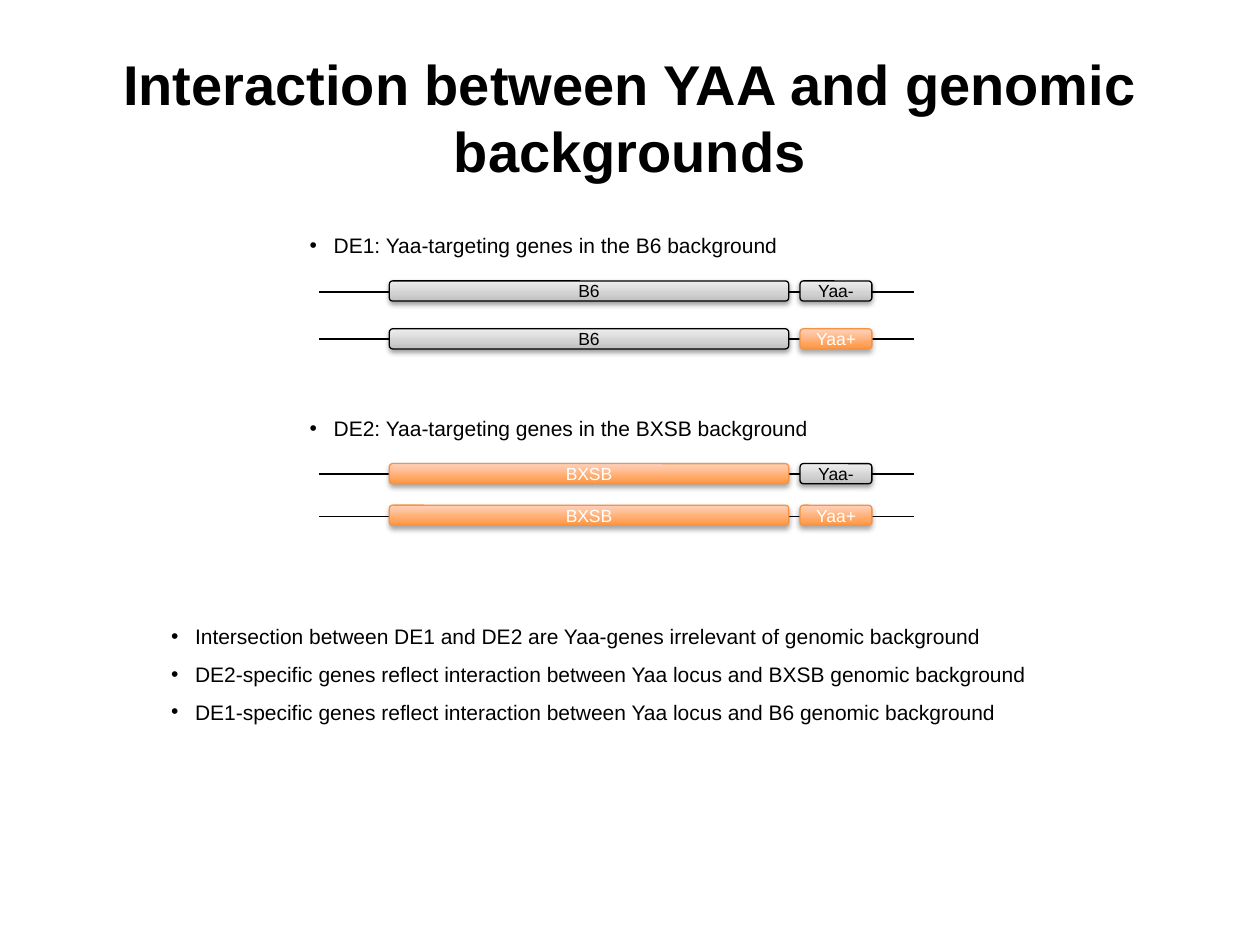
from dataclasses import dataclass
from lxml import etree
from pptx import Presentation
from pptx.dml.color import RGBColor
from pptx.enum import shapes, text
from pptx.oxml.ns import qn
from pptx.util import Inches, Pt

BLACK = RGBColor(0x00, 0x00, 0x00)
WHITE = RGBColor(0xFF, 0xFF, 0xFF)
ORANGE_LINE = RGBColor(0xF6, 0x92, 0x40)
GRAYS = (
    (0, RGBColor(0xBD, 0xBD, 0xBD)),
    (35, RGBColor(0xD1, 0xD1, 0xD1)),
    (100, RGBColor(0xEE, 0xEE, 0xEE)),
)
ORANGES = (
    (0, RGBColor(0xFF, 0x95, 0x3E)),
    (100, RGBColor(0xFF, 0xD2, 0xBD)),
)


@dataclass(frozen=True)
class Style:
    stops: tuple
    line: RGBColor
    font: RGBColor
    shadow_alpha: int
    shadow_dist: float


@dataclass(frozen=True)
class Strain:
    line_y: float
    box_y: float
    background: str
    locus: str


@dataclass(frozen=True)
class BulletBox:
    left: float
    top: float
    width: float
    height: float
    lines: tuple


GRAY = Style(GRAYS, BLACK, BLACK, 38, 1.6)
ORANGE = Style(ORANGES, ORANGE_LINE, WHITE, 35, 1.8)
STYLES = {"B6": GRAY, "Yaa-": GRAY, "BXSB": ORANGE, "Yaa+": ORANGE}
STRAINS = (
    Strain(2.32, 2.23, "B6", "Yaa-"),
    Strain(2.69, 2.61, "B6", "Yaa+"),
    Strain(3.76, 3.68, "BXSB", "Yaa-"),
    Strain(4.1, 4.01, "BXSB", "Yaa+"),
)
BULLET_BOXES = (
    BulletBox(2.36, 1.7, 6.69, 0.39, ("DE1: Yaa-targeting genes in the B6 background",)),
    BulletBox(2.36, 3.15, 6.69, 0.39, ("DE2: Yaa-targeting genes in the BXSB background",)),
    BulletBox(1.26, 4.8, 7.8, 1.3, (
        "Intersection between DE1 and DE2 are Yaa-genes irrelevant of genomic background",
        "DE2-specific genes reflect interaction between Yaa locus and BXSB genomic background",
        "DE1-specific genes reflect interaction between Yaa locus and B6 genomic background",
    )),
)


def set_attrs(obj, values: dict) -> None:
    for name, value in values.items():
        setattr(obj, name, value)


def add_run(p, words: str, size: float, color: RGBColor, bold: bool = False) -> None:
    r = p.add_run()
    r.text = words
    set_attrs(r.font, {"name": "Arial", "size": Pt(size), "bold": bold})
    r.font.color.rgb = color


def add_node(parent, tag: str, **attrs):
    return etree.SubElement(parent, qn(tag), {k: str(v) for k, v in attrs.items()})


def add_title(s, words: str) -> None:
    tf = s.shapes.add_textbox(Inches(0.5), Inches(0.3), Inches(9), Inches(1.25)).text_frame
    set_attrs(tf, {"word_wrap": True, "vertical_anchor": text.MSO_ANCHOR.MIDDLE})
    p = tf.paragraphs[0]
    p.alignment = text.PP_ALIGN.CENTER
    add_run(p, words, 32, BLACK, True)


def add_bullets(s, box: BulletBox) -> None:
    tf = s.shapes.add_textbox(Inches(box.left), Inches(box.top),
                              Inches(box.width), Inches(box.height)).text_frame
    set_attrs(tf, {"word_wrap": True, "auto_size": text.MSO_AUTO_SIZE.SHAPE_TO_FIT_TEXT})
    for i, words in enumerate(box.lines):
        p = tf.add_paragraph() if i else tf.paragraphs[0]
        p.line_spacing = 1.5
        pPr = p._p.get_or_add_pPr()
        pPr.set("marL", str(Inches(0.19)))
        pPr.set("indent", str(-Inches(0.19)))
        add_node(pPr, "a:buFont", typeface="Arial")
        add_node(pPr, "a:buChar", char="•")
        add_run(p, words, 12, BLACK)


def add_chromosome(s, y: float) -> None:
    cxn = s.shapes.add_connector(shapes.MSO_CONNECTOR.STRAIGHT,
                                 Inches(2.53), Inches(y), Inches(7.25), Inches(y))
    cxn.line.color.rgb = BLACK
    cxn.line.width = Pt(1)
    add_node(cxn._element.spPr, "a:effectLst")


def add_region(s, left: float, top: float, width: float, label: str) -> None:
    style = STYLES[label]
    sp = s.shapes.add_shape(shapes.MSO_SHAPE.ROUNDED_RECTANGLE,
                            Inches(left), Inches(top), Inches(width), Inches(0.16))
    sp.fill.gradient()
    sp.fill.gradient_angle = 90
    spPr = sp._element.spPr
    gs_list = spPr.find(".//" + qn("a:gsLst"))
    for old in list(gs_list):
        gs_list.remove(old)
    for pos, color in style.stops:
        add_node(add_node(gs_list, "a:gs", pos=pos * 1000), "a:srgbClr", val=color)
    sp.line.color.rgb = style.line
    sp.line.width = Pt(0.75)
    sp.shadow.inherit = False
    shadow = add_node(spPr.find(qn("a:effectLst")), "a:outerShdw", blurRad=Pt(3.1),
                      dist=Pt(style.shadow_dist), dir=5400000, rotWithShape=0)
    add_node(add_node(shadow, "a:srgbClr", val=BLACK), "a:alpha",
             val=style.shadow_alpha * 1000)
    tf = sp.text_frame
    set_attrs(tf, {"vertical_anchor": text.MSO_ANCHOR.MIDDLE, "margin_left": 0,
                   "margin_right": 0, "margin_top": 0, "margin_bottom": 0})
    p = tf.paragraphs[0]
    p.alignment = text.PP_ALIGN.CENTER
    add_run(p, label, 10, style.font)


def main() -> None:
    prs = Presentation()
    set_attrs(prs, {"slide_width": Inches(10), "slide_height": Inches(7.5)})
    s = prs.slides.add_slide(prs.slide_layouts[6])
    add_title(s, "Interaction between YAA and genomic backgrounds")
    for strain in STRAINS:
        add_chromosome(s, strain.line_y)
        add_region(s, 3.09, strain.box_y, 3.17, strain.background)
        add_region(s, 6.35, strain.box_y, 0.57, strain.locus)
    for box in BULLET_BOXES:
        add_bullets(s, box)
    prs.save("out.pptx")


if __name__ == "__main__":
    main()
